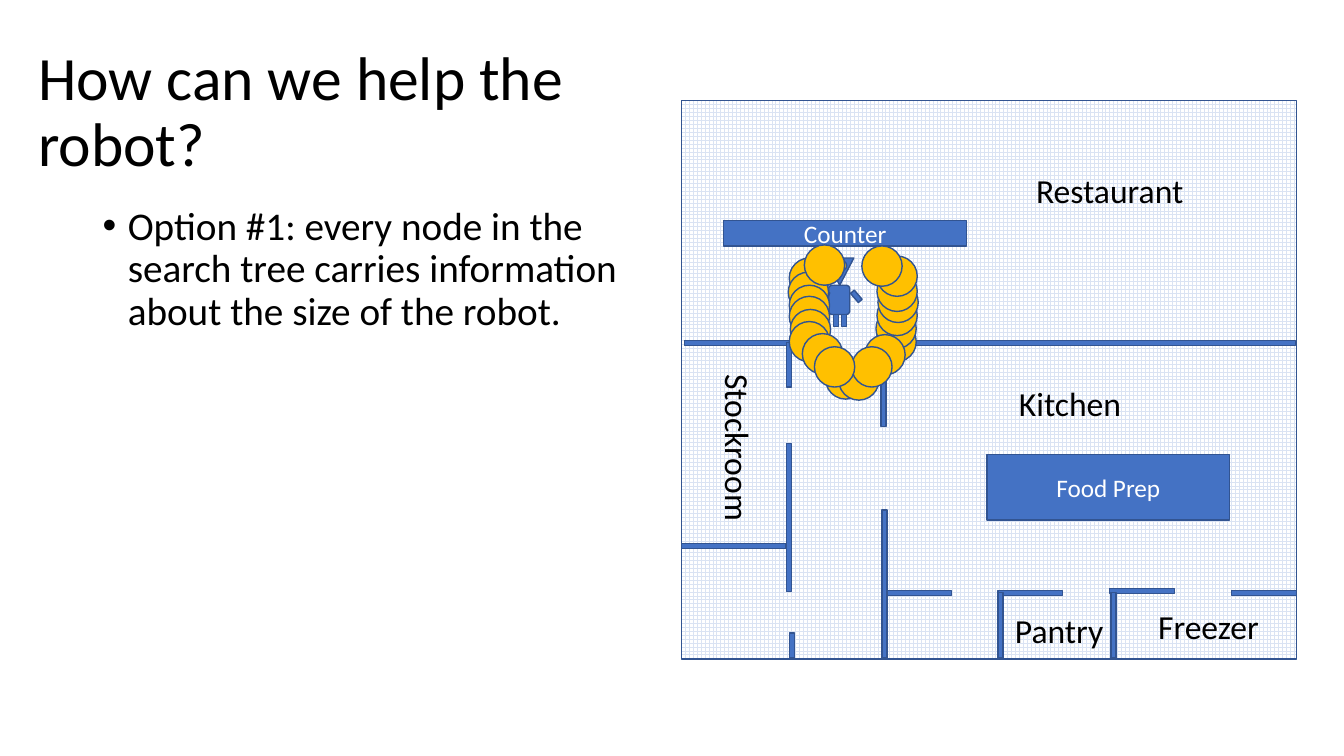
from lxml.etree import SubElement
from pptx import Presentation
from pptx.dml.color import RGBColor
from pptx.enum.dml import MSO_PATTERN
from pptx.enum.shapes import MSO_SHAPE
from pptx.enum.text import MSO_ANCHOR, MSO_AUTO_SIZE, PP_ALIGN
from pptx.oxml.ns import qn
from pptx.util import Inches, Pt

# Grid: one cell is a tenth of an inch, so the page has 133.33 columns and 75 rows
CELL = Inches(0.1)
COLUMNS, ROWS = 133.33, 75
WALL = 0.5
DISC = 4

FONT = "Calibri"
BLACK = RGBColor(0x00, 0x00, 0x00)
WHITE = RGBColor(0xFF, 0xFF, 0xFF)
BLUE = RGBColor(0x44, 0x72, 0xC4)
DARK_BLUE = RGBColor(0x32, 0x54, 0x91)
PALE_BLUE = RGBColor(0xDA, 0xE3, 0xF3)
GOLD = RGBColor(0xFF, 0xC0, 0x00)

# Walls: left column, top row, length
HORIZONTAL_WALLS = [
    (67.9, 33.8, 10.6), (87.3, 33.8, 41.2), (67.6, 53.9, 10.4),
    (88, 58.6, 6.4), (99, 58.6, 6.4), (110.1, 58.4, 6.4), (122.2, 58.6, 6.4),
]
VERTICAL_WALLS = [
    (87.4, 34.1, 8.2), (87.5, 50.6, 14.7), (99, 58.8, 6.5), (110.2, 58.8, 6.5),
    (78, 44, 14.7), (78, 34, 4.4), (78.3, 62.8, 2.5),
]

# Robot parts: preset, left, top, width, height, rotation, fill
ROBOT_PARTS = [
    (MSO_SHAPE.ISOSCELES_TRIANGLE, 81.9, 25.6, 2.8, 2.7, 180, BLUE),
    (MSO_SHAPE.OVAL, 82.5, 25.9, 0.8, 0.9, 0, GOLD),
    (MSO_SHAPE.OVAL, 83.2, 25.9, 0.8, 0.9, 0, GOLD),
    (MSO_SHAPE.ROUNDED_RECTANGLE, 82.2, 28.3, 2.1, 2.9, 0, BLUE),
    (MSO_SHAPE.RECTANGLE, 82.7, 31.2, 0.5, 1.2, 0, BLUE),
    (MSO_SHAPE.RECTANGLE, 83.5, 31.2, 0.5, 1.2, 0, BLUE),
    (MSO_SHAPE.RECTANGLE, 84.7, 28.8, 0.5, 1.2, 319.4, BLUE),
    (MSO_SHAPE.RECTANGLE, 81.6, 28.9, 0.5, 1.2, 24.9, BLUE),
]

# Discs around the robot, back to front: left column, top row
DISCS = [
    (78.3, 25.6), (78.2, 27), (78.3, 28.3), (78.3, 29.4), (78.4, 30.7),
    (78.3, 31.9), (81.9, 35.6), (83.2, 35.7), (86.9, 31.9), (86.9, 30.6),
    (87, 29.3), (87.1, 28), (87, 26.9), (87, 25.4), (79.8, 24.3),
    (85.5, 24.4), (85.8, 33.2), (79.6, 33.1), (84.5, 34.4), (80.8, 34.4),
]

# Room names: text, left, top, width, rotation
ROOMS = [
    ("Kitchen", 100.1, 37.5, 12.3, 0), ("Restaurant", 101.8, 16.4, 16.8, 0),
    ("Freezer", 113.9, 59.6, 12.1, 0), ("Pantry", 99.7, 60, 10.9, 0),
    ("Stockroom", 64.9, 42, 16.7, 90),
]


def cells(*counts):
    return [round(count * CELL) for count in counts]


def style_text(para, size, color):
    for span in para.runs:
        span.font.name = FONT
        span.font.size = Pt(size)
        span.font.color.rgb = color


def add_block(shapes, preset, left, top, width, height, rotation=0, fill=BLUE):
    block = shapes.add_shape(preset, *cells(left, top, width, height))
    block.rotation = rotation
    block.shadow.inherit = False
    block.fill.solid()
    block.fill.fore_color.rgb = fill
    block.line.color.rgb = DARK_BLUE
    block.line.width = Pt(1)
    return block


def add_floor(page):
    floor = add_block(page.shapes, MSO_SHAPE.RECTANGLE, 67.6, 10, 61, 55.4)
    floor.fill.patterned()
    floor.fill.pattern = MSO_PATTERN.LARGE_GRID
    floor.fill.fore_color.rgb = PALE_BLUE
    floor.fill.back_color.rgb = WHITE


def add_furniture(page, name, left, top, width, height):
    box = add_block(page.shapes, MSO_SHAPE.RECTANGLE, left, top, width, height)
    frame = box.text_frame
    frame.text = name
    frame.vertical_anchor = MSO_ANCHOR.MIDDLE
    para = frame.paragraphs[0]
    para.alignment = PP_ALIGN.CENTER
    style_text(para, 18, WHITE)


def add_text(page, text, left, top, width, height, size, wrap=True):
    box = page.shapes.add_textbox(*cells(left, top, width, height))
    frame = box.text_frame
    frame.word_wrap = wrap
    frame.text = text
    style_text(frame.paragraphs[0], size, BLACK)
    return box


def add_room(page, name, left, top, width, rotation):
    box = add_text(page, name, left, top, width, 5, 24, wrap=False)
    box.text_frame.auto_size = MSO_AUTO_SIZE.SHAPE_TO_FIT_TEXT
    box.rotation = rotation


def add_title(page, text):
    frame = add_text(page, text, 2.8, 4, 63, 14.5, 44).text_frame
    frame.vertical_anchor = MSO_ANCHOR.MIDDLE
    frame.paragraphs[0].line_spacing = 0.9


def add_bullet(page, text):
    para = add_text(page, text, 9.2, 20, 56.7, 47.6, 28).text_frame.paragraphs[0]
    para.line_spacing = 0.9
    properties = para._p.get_or_add_pPr()
    properties.set("marL", str(Inches(0.25)))
    properties.set("indent", str(-Inches(0.25)))
    SubElement(properties, qn("a:buFont"), typeface="Arial")
    SubElement(properties, qn("a:buChar"), char="•")


def main():
    deck = Presentation()
    deck.slide_width, deck.slide_height = cells(COLUMNS, ROWS)
    page = deck.slides.add_slide(deck.slide_layouts[6])

    # Floor plan with the robot
    add_floor(page)
    robot = page.shapes.add_group_shape()
    for part in ROBOT_PARTS:
        add_block(robot.shapes, *part)

    # Walls and furniture
    add_furniture(page, "Counter", 71.8, 21.9, 24.1, 2.5)
    for left, top, length in HORIZONTAL_WALLS:
        add_block(page.shapes, MSO_SHAPE.RECTANGLE, left, top, length, WALL)
    for left, top, length in VERTICAL_WALLS:
        add_block(page.shapes, MSO_SHAPE.RECTANGLE, left, top, WALL, length)
    add_furniture(page, "Food Prep", 97.9, 45.1, 24.1, 6.5)

    # Room names
    for room in ROOMS:
        add_room(page, *room)

    # Ring of discs
    for left, top in DISCS:
        add_block(page.shapes, MSO_SHAPE.OVAL, left, top, DISC, DISC, fill=GOLD)

    # Heading and bullet
    add_title(page, "How can we help the robot?")
    add_bullet(page, "Option #1: every node in the search tree carries "
                     "information about the size of the robot.")
    deck.save("out.pptx")


if __name__ == "__main__":
    main()
